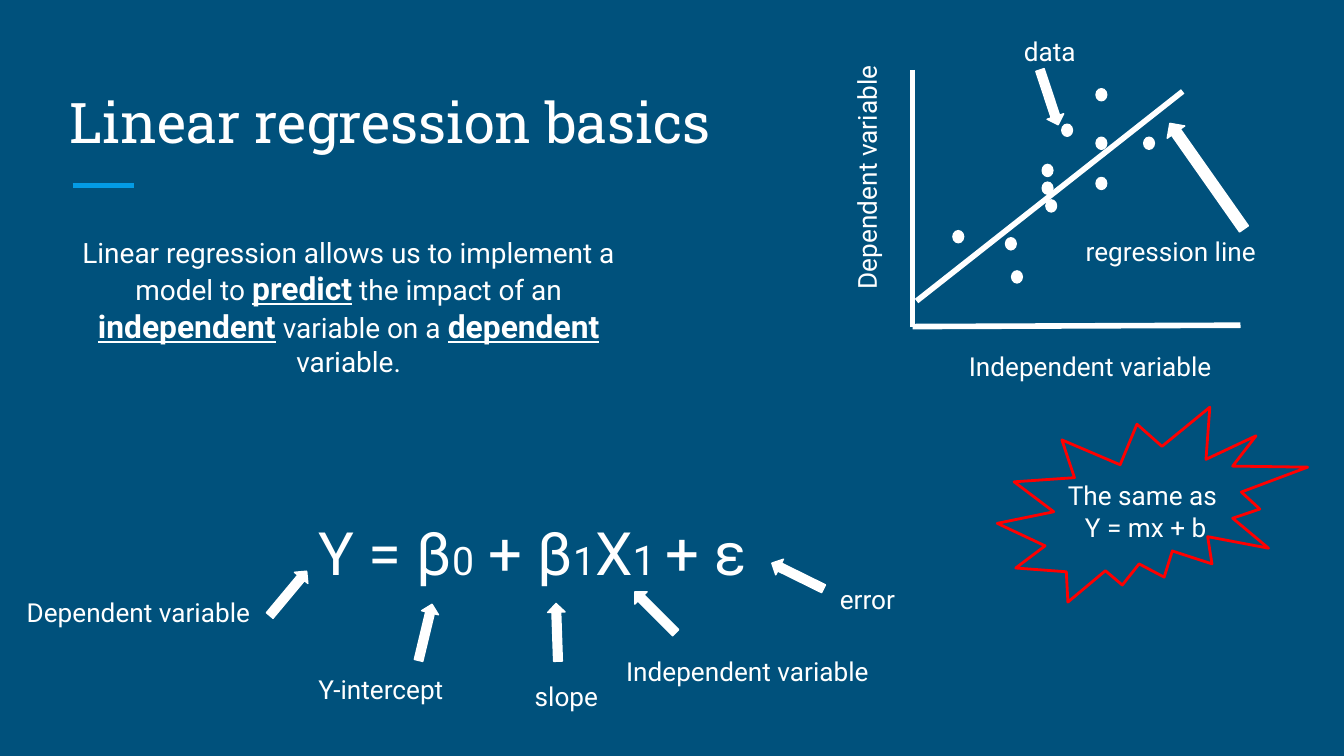
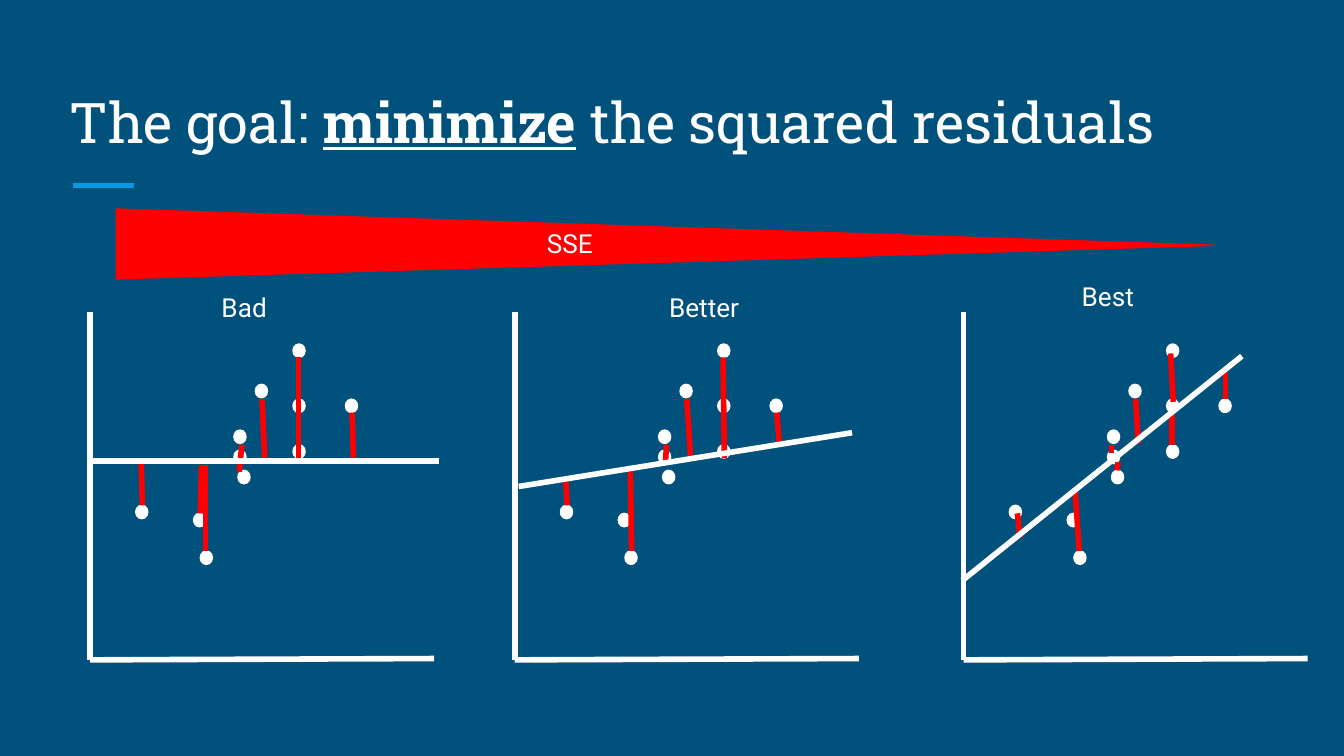
"""Build two slides on linear regression and least squares."""
from lxml.etree import SubElement
from pptx import Presentation
from pptx.dml.color import RGBColor
from pptx.enum.shapes import MSO_CONNECTOR, MSO_SHAPE
from pptx.enum.text import MSO_ANCHOR, MSO_AUTO_SIZE, PP_ALIGN
from pptx.oxml.ns import qn
from pptx.util import Inches, Pt

NAVY, WHITE, RED, BLUE = "00517C", "FFFFFF", "FF0000", "039BE5"
BODY, SLAB = "Roboto", "Roboto Slab"
STRONG = {"bold": True, "underline": True}
KEYWORD = {"size": Pt(17), **STRONG}

TITLES = [
    [("Linear regression basics", {})],
    [("The goal: ", {}), ("minimize", STRONG), (" the squared residuals", {})],
]
INTRO = [
    ("Linear regression allows us to implement a model to ", {}),
    ("predict", KEYWORD),
    (" the impact of an ", {}),
    ("independent", KEYWORD),
    (" variable on a ", {}),
    ("dependent", KEYWORD),
    (" variable.", {}),
]
FORMULA = [
    ("Y = β", {}), ("0", {"size": Pt(21)}), (" + β", {}),
    ("1", {"size": Pt(21)}), ("X", {}), ("1 ", {"size": Pt(22)}), ("+ ε", {}),
]
LABELS = [
    ("Independent variable", 7.11, 2.51, 3.02, 0),
    ("Dependent variable", 4.94, 0.52, 3.02, 270),
    ("regression line", 7.98, 1.65, 3.02, 0),
    ("data", 7.52, 0.16, 3.02, 0),
    ("Dependent variable", 0.1, 4.34, 2.91, 0),
    ("Y-intercept", 2.27, 4.91, 2.91, 0),
    ("slope", 3.88, 4.96, 2.91, 0),
    ("Independent variable", 4.56, 4.78, 2.91, 0),
    ("error", 6.15, 4.24, 2.91, 0),
]
ARROWS = [
    (1.93, 4.35, 0.43, 0.13, 309.8),
    (2.95, 4.64, 0.43, 0.13, 283.5),
    (3.93, 4.64, 0.43, 0.13, 268),
    (4.66, 4.49, 0.43, 0.13, 225),
    (5.72, 4.22, 0.43, 0.13, 206.3),
    (8.5, 1.23, 0.96, 0.16, 234.9),
    (7.59, 0.66, 0.43, 0.13, 71.6),
]
DATA = [
    (0, 1.2), (0.76, 0.94), (0.48, 1.54), (1.17, 0.41), (1.56, 0.41), (1.17, 0.75),
    (0.73, 0.64), (0.43, 1.26), (0.89, 0.3), (0.73, 0.79), (1.17, 0),
]
PANELS = [
    {"left": 0.67, "name": ("Bad", 1.55, 2.07), "fit": (0.02, 3.43, 2.6, 3.43),
     "residuals": [
         (1.28, 2.97, 1.3, 3.41), (0.86, 3.46, 0.86, 4.1), (1.95, 3.07, 1.96, 3.43),
         (0.38, 3.43, 0.39, 3.76), (1.55, 2.66, 1.55, 3.41), (1.13, 3.31, 1.11, 3.51),
         (0.83, 3.46, 0.82, 3.82)]},
    {"left": 3.83, "name": ("Better", 4.88, 2.07), "fit": (0.03, 3.62, 2.51, 3.22),
     "residuals": [
         (1.28, 2.97, 1.31, 3.42), (0.86, 3.5, 0.87, 4.1), (1.95, 3.07, 1.97, 3.32),
         (0.38, 3.58, 0.39, 3.76), (1.55, 2.66, 1.56, 3.41), (1.13, 3.31, 1.12, 3.45)]},
    {"left": 7.17, "name": ("Best", 7.95, 1.99), "fit": (-0.01, 4.32, 2.07, 2.65),
     "residuals": [
         (1.28, 2.97, 1.3, 3.3), (0.83, 3.66, 0.86, 4.1), (1.54, 2.63, 1.56, 2.99),
         (1.15, 3.44, 1.14, 3.5), (1.55, 3.07, 1.55, 3.31), (1.95, 2.77, 1.95, 2.97),
         (0.4, 3.82, 0.42, 4), (1.1, 3.31, 1.1, 3.37)]},
]


def rgb(color):
    return RGBColor.from_string(color)


def add_text(s, paragraphs, x, y, w, h, size=14, font=BODY, align=PP_ALIGN.LEFT,
             anchor=MSO_ANCHOR.TOP, fit=MSO_AUTO_SIZE.SHAPE_TO_FIT_TEXT, rotation=0):
    sp = s.shapes.add_textbox(Inches(x), Inches(y), Inches(w), Inches(h))
    sp.rotation = rotation
    tf = sp.text_frame
    frame = {"word_wrap": True, "auto_size": fit, "vertical_anchor": anchor}
    for side in ("left", "top", "right", "bottom"):
        frame[f"margin_{side}"] = Inches(0.1)
    for key, value in frame.items():
        setattr(tf, key, value)
    for i, runs in enumerate(paragraphs):
        p = tf.add_paragraph() if i else tf.paragraphs[0]
        p.alignment = align
        for text, extra in runs:
            r = p.add_run()
            r.text = text
            r.font.color.rgb = rgb(WHITE)
            for key, value in {"name": font, "size": Pt(size), **extra}.items():
                setattr(r.font, key, value)


def add_shape(s, kind, x, y, w, h, fill=WHITE, line=WHITE, weight=0.75, rotation=0):
    sp = s.shapes.add_shape(kind, Inches(x), Inches(y), Inches(w), Inches(h))
    sp.shadow.inherit = False
    sp.rotation = rotation
    if fill:
        sp.fill.solid()
        sp.fill.fore_color.rgb = rgb(fill)
    else:
        sp.fill.background()
    sp.line.color.rgb = rgb(line)
    sp.line.width = Pt(weight)
    return sp


def add_line(s, x1, y1, x2, y2, color=WHITE):
    sp = s.shapes.add_connector(
        MSO_CONNECTOR.STRAIGHT, Inches(x1), Inches(y1), Inches(x2), Inches(y2))
    sp.line.color.rgb = rgb(color)
    sp.line.width = Pt(3)
    SubElement(sp.element.spPr, qn("a:effectLst"))


def add_axes(s, left, top, right, bottom):
    add_line(s, left, top, left, bottom)
    add_line(s, right, bottom - 0.01, left, bottom)


def add_dots(s, left, top, w, h, scale_x=1, scale_y=1):
    for x, y in DATA:
        add_shape(s, MSO_SHAPE.FLOWCHART_CONNECTOR,
                  left + x * scale_x, top + y * scale_y, w, h)


def add_slide(prs, title):
    s = prs.slides.add_slide(prs.slide_layouts[6])
    s.background.fill.solid()
    s.background.fill.fore_color.rgb = rgb(NAVY)
    add_line(s, 0.54, 1.38, 1, 1.38, BLUE)
    add_text(s, [title], 0.42, 0.5, 9.15, 0.75, 30, SLAB,
             anchor=MSO_ANCHOR.BOTTOM, fit=MSO_AUTO_SIZE.NONE)
    return s


def build_basics(prs):
    s = add_slide(prs, TITLES[0])
    add_shape(s, MSO_SHAPE.EXPLOSION2, 7.42, 3.03, 2.31, 1.45, None, RED, 1.5)
    add_text(s, [INTRO], 0.48, 1.65, 4.23, 1.53, 15, align=PP_ALIGN.CENTER)
    add_axes(s, 6.79, 0.52, 9.23, 2.43)
    add_line(s, 6.82, 2.24, 8.8, 0.68)
    add_text(s, [[("The same as ", {})], [("Y = mx + b", {})]],
             7.47, 3.47, 2.11, 0.67, align=PP_ALIGN.CENTER)
    add_text(s, [FORMULA], 2.27, 3.74, 4.51, 0.74, 32)
    for text, x, y, w, rotation in LABELS:
        add_text(s, [[(text, {})]], x, y, w, 0.44, rotation=rotation)
    add_dots(s, 7.09, 0.66, 0.08, 0.09, 0.91, 0.88)
    for x, y, w, h, rotation in ARROWS:
        add_shape(s, MSO_SHAPE.RIGHT_ARROW, x, y, w, h, rotation=rotation)


def build_goal(prs):
    s = add_slide(prs, TITLES[1])
    for panel in PANELS:
        left = panel["left"]
        add_axes(s, left, 2.32, left + 2.56, 4.91)
        add_dots(s, left + 0.34, 2.56, 0.09, 0.1)
        for x1, y1, x2, y2 in panel["residuals"]:
            add_line(s, left + x1, y1, left + x2, y2, RED)
        x1, y1, x2, y2 = panel["fit"]
        add_line(s, left + x1, y1, left + x2, y2)
    wedge = add_shape(s, MSO_SHAPE.ISOSCELES_TRIANGLE, 4.69, -2.27, 0.52, 8.17,
                      RED, RED, rotation=90)
    wedge.adjustments[0] = 0.52
    for text, x, y in [panel["name"] for panel in PANELS] + [("SSE", 3.97, 1.59)]:
        add_text(s, [[(text, {})]], x, y, 1.46, 0.44)


def main():
    prs = Presentation()
    prs.slide_width = Inches(10)
    prs.slide_height = Inches(10 * 9 / 16)
    build_basics(prs)
    build_goal(prs)
    prs.save("out.pptx")


if __name__ == "__main__":
    main()
